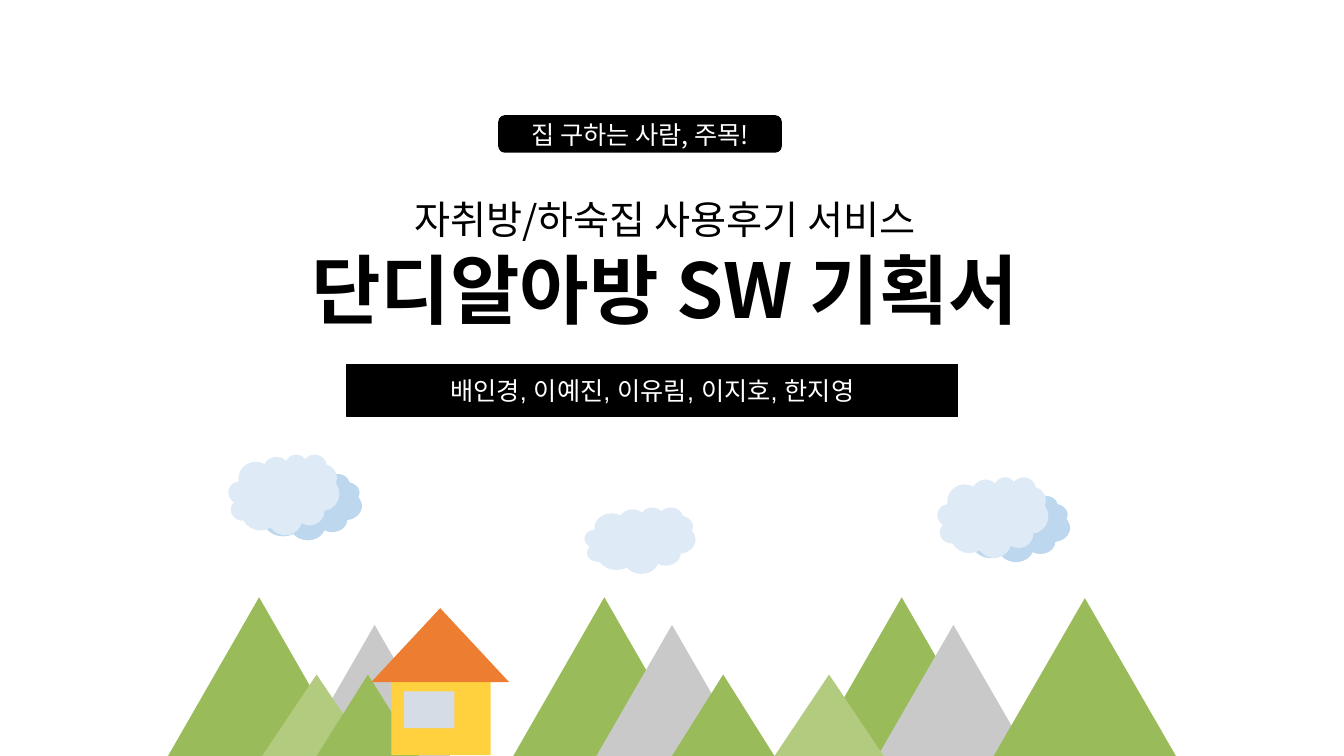
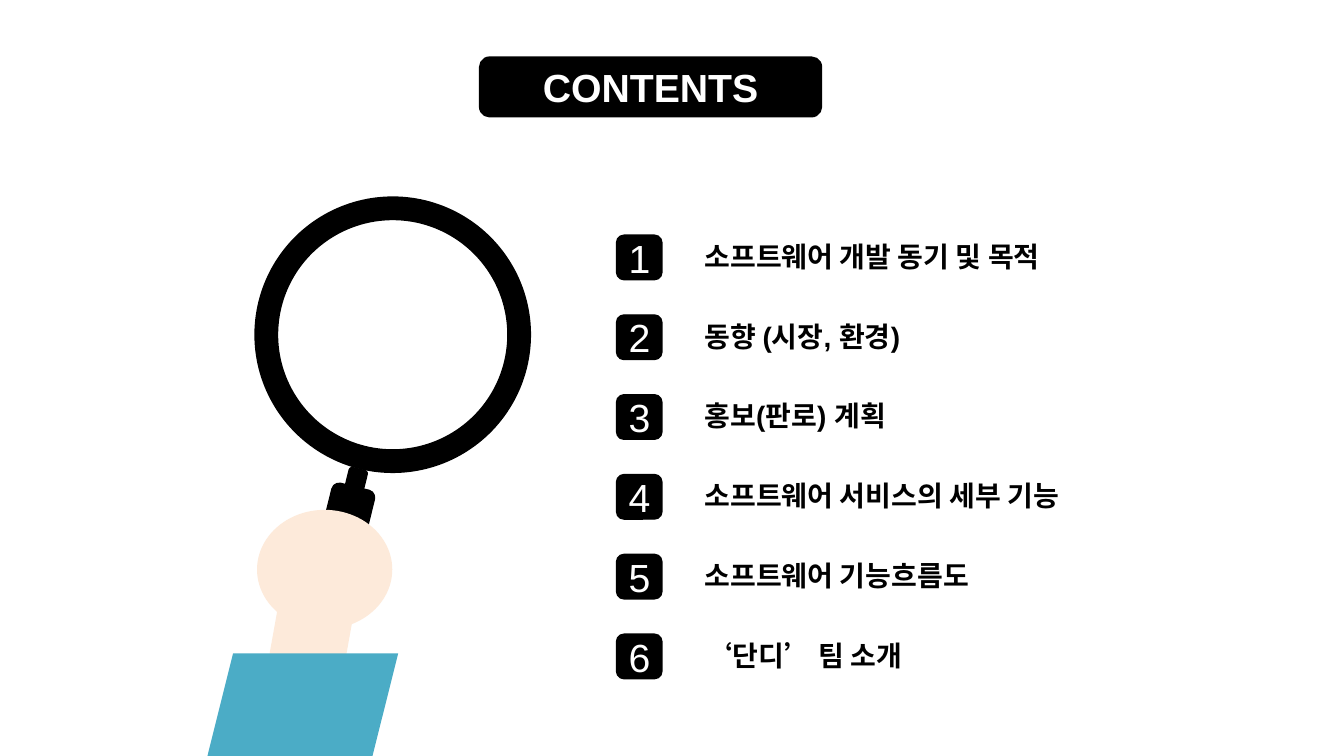
"""Build the cover and contents slides of a housing review service proposal."""
from dataclasses import dataclass

from lxml.etree import SubElement
from pptx import Presentation
from pptx.dml.color import RGBColor
from pptx.enum.shapes import MSO_SHAPE
from pptx.enum.text import MSO_ANCHOR, PP_ALIGN
from pptx.oxml.ns import qn
from pptx.util import Inches, Pt


@dataclass(frozen=True)
class Theme:
    black: str = "000000"
    white: str = "FFFFFF"
    green: str = "9ABB59"
    light_green: str = "B2CB7F"
    gray: str = "C9C9C9"
    sky: str = "DEEBF7"
    sky_shade: str = "BDD7EE"
    wall: str = "FFD13F"
    roof: str = "ED7D31"
    window: str = "D6DCE5"
    skin: str = "FDEADA"
    sleeve: str = "4BACC6"
    latin: str = "Arial"
    korean: str = "Noto Sans CJK KR"
    title: int = 54
    heading: int = 28
    item: int = 20
    label: int = 18
    outline: int = 1
    ring: int = 17


class Deck:
    columns, rows = 160, 90

    def __init__(self, theme):
        self.theme = theme
        self.presentation = Presentation()
        self.presentation.slide_width = Inches(13.33)
        self.presentation.slide_height = Inches(7.5)
        self.slide = None
        self.canvas = None

    def new_slide(self):
        self.slide = self.presentation.slides.add_slide(self.presentation.slide_layouts[6])
        self.ungroup()

    def group(self):
        self.canvas = self.slide.shapes.add_group_shape().shapes

    def ungroup(self):
        self.canvas = self.slide.shapes

    def place(self, left, top, width, height):
        column = self.presentation.slide_width / self.columns
        row = self.presentation.slide_height / self.rows
        return (round(left * column), round(top * row),
                round(width * column), round(height * row))

    def shape(self, kind, box, fill=None, line=None, line_width=0, rotation=0):
        shape = self.canvas.add_shape(kind, *self.place(*box))
        shape.shadow.inherit = False
        shape.rotation = rotation
        if fill:
            shape.fill.solid()
            shape.fill.fore_color.rgb = RGBColor.from_string(fill)
        else:
            shape.fill.background()
        if line:
            shape.line.color.rgb = RGBColor.from_string(line)
            shape.line.width = Pt(line_width)
        else:
            shape.line.fill.background()
        return shape

    def black_shape(self, kind, box, rotation=0):
        black = self.theme.black
        return self.shape(kind, box, black, black, self.theme.outline, rotation)

    def add_text_run(self, paragraph, text, size, color, font, bold=False):
        run = paragraph.add_run()
        run.text = text
        run.font.size = Pt(size)
        run.font.bold = bold
        run.font.color.rgb = RGBColor.from_string(color)
        run.font.name = font
        east_asian = SubElement(run._r.get_or_add_rPr(), qn("a:ea"))
        east_asian.set("typeface", self.theme.korean)

    def label(self, kind, box, text, size, font, bold=False):
        frame = self.black_shape(kind, box).text_frame
        frame.word_wrap = True
        frame.vertical_anchor = MSO_ANCHOR.MIDDLE
        paragraph = frame.paragraphs[0]
        paragraph.alignment = PP_ALIGN.CENTER
        self.add_text_run(paragraph, text, size, self.theme.white, font, bold)

    def text(self, box, lines, font, align=PP_ALIGN.LEFT):
        frame = self.canvas.add_textbox(*self.place(*box)).text_frame
        frame.word_wrap = True
        for index, (text, size, bold) in enumerate(lines):
            paragraph = frame.add_paragraph() if index else frame.paragraphs[0]
            paragraph.alignment = align
            self.add_text_run(paragraph, text, size, self.theme.black, font, bold)

    def mountains(self, lefts, width, height, color):
        for left in lefts:
            box = (left, self.rows - height, width, height)
            self.shape(MSO_SHAPE.FLOWCHART_EXTRACT, box, color)

    def cloud(self, left, top, height, color):
        self.shape(MSO_SHAPE.CLOUD, (left, top, 13.2, height), color)

    def house(self):
        self.group()
        self.shape(MSO_SHAPE.RECTANGLE, (46.6, 80.9, 11.8, 9), self.theme.wall)
        self.shape(MSO_SHAPE.FLOWCHART_MERGE, (44.2, 72.4, 16.4, 8.8),
                   self.theme.roof, rotation=180)
        self.shape(MSO_SHAPE.RECTANGLE, (48.1, 82.3, 6, 4.4), self.theme.window)
        self.ungroup()

    def magnifier(self):
        tilt = 13.8
        self.group()
        for box in ((38.3, 57.8, 5.2, 11.4), (40.4, 55.7, 2.2, 10.3)):
            self.black_shape(MSO_SHAPE.ROUNDED_RECTANGLE, box, tilt)
        self.shape(MSO_SHAPE.OVAL, (31.7, 24.8, 30.1, 30.1), line=self.theme.black,
                   line_width=self.theme.ring, rotation=tilt)
        self.ungroup()

    def hand(self):
        self.group()
        self.shape(MSO_SHAPE.PARALLELOGRAM, (30.4, 70.3, 12.2, 17), self.theme.skin)
        self.shape(MSO_SHAPE.PARALLELOGRAM, (24.7, 77.8, 22.7, 12.2), self.theme.sleeve)
        self.shape(MSO_SHAPE.OVAL, (30.6, 60.7, 16.1, 14.2), self.theme.skin)
        self.ungroup()

    def contents_item(self, number, title):
        top = 28 + 9.5 * (number - 1)
        self.label(MSO_SHAPE.ROUNDED_RECTANGLE, (73.4, top, 5.4, 5.3), str(number),
                   self.theme.heading, self.theme.latin)
        self.text((82.7, top - 0.1, 51, 5.3), [(title, self.theme.item, True)],
                  self.theme.latin)


def build_cover(deck):
    theme = deck.theme
    deck.new_slide()
    deck.cloud(29.9, 56.4, 7.9, theme.sky_shade)
    deck.label(MSO_SHAPE.ROUNDED_RECTANGLE, (59.4, 13.8, 33.6, 4.3),
               "집 구하는 사람, 주목!", theme.label, theme.korean)
    deck.text((31.2, 22.7, 95.9, 17.8),
              [("자취방/하숙집 사용후기 서비스", theme.heading, False),
               ("단디알아방 SW 기획서", theme.title, True)],
              theme.korean, PP_ALIGN.CENTER)
    deck.label(MSO_SHAPE.RECTANGLE, (41.3, 43.4, 72.7, 6.2),
               "배인경, 이예진, 이유림, 이지호, 한지영", theme.label, theme.latin)
    deck.mountains((20, 61.1, 96.5), 21.7, 18.9, theme.green)
    deck.mountains((35.6, 71, 104.5), 18, 15.6, theme.gray)
    deck.mountains((31.2, 92.2), 13, 9.7, theme.light_green)
    deck.mountains((118.3,), 21.7, 18.8, theme.green)
    deck.mountains((80, 37.7), 12.2, 9.7, theme.green)
    deck.cloud(69.6, 60.4, 7.9, theme.sky)
    deck.cloud(27.2, 54.1, 9.6, theme.sky)
    deck.cloud(114.2, 59, 7.9, theme.sky_shade)
    deck.cloud(111.6, 56.8, 9.6, theme.sky)
    deck.house()


def build_contents(deck):
    theme = deck.theme
    deck.new_slide()
    deck.magnifier()
    deck.hand()
    deck.label(MSO_SHAPE.ROUNDED_RECTANGLE, (57.1, 6.8, 40.7, 7.1),
               "CONTENTS", theme.heading, theme.latin, bold=True)
    titles = ("소프트웨어 개발 동기 및 목적", "동향 (시장, 환경)", "홍보(판로) 계획",
              "소프트웨어 서비스의 세부 기능", "소프트웨어 기능흐름도", "‘단디’ 팀 소개")
    for number, title in enumerate(titles, start=1):
        deck.contents_item(number, title)


def main():
    deck = Deck(Theme())
    build_cover(deck)
    build_contents(deck)
    deck.presentation.save("out.pptx")


if __name__ == "__main__":
    main()
